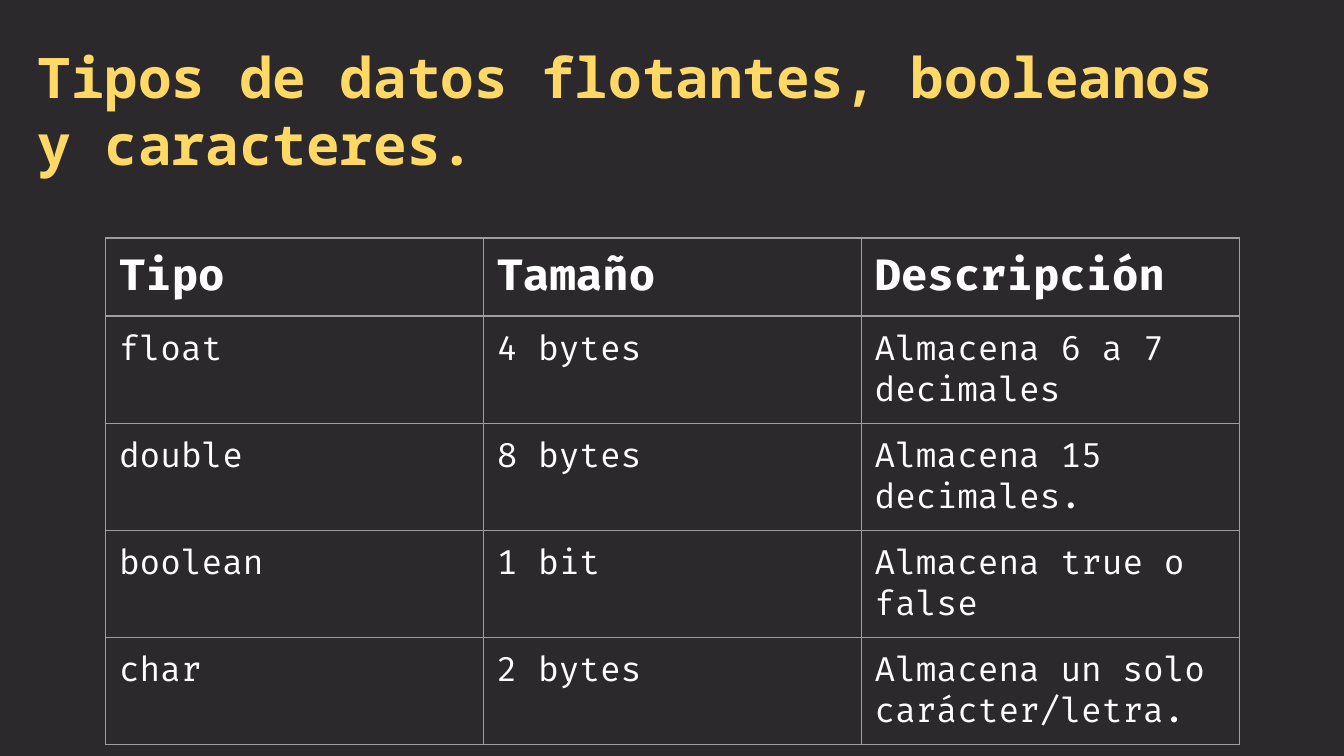
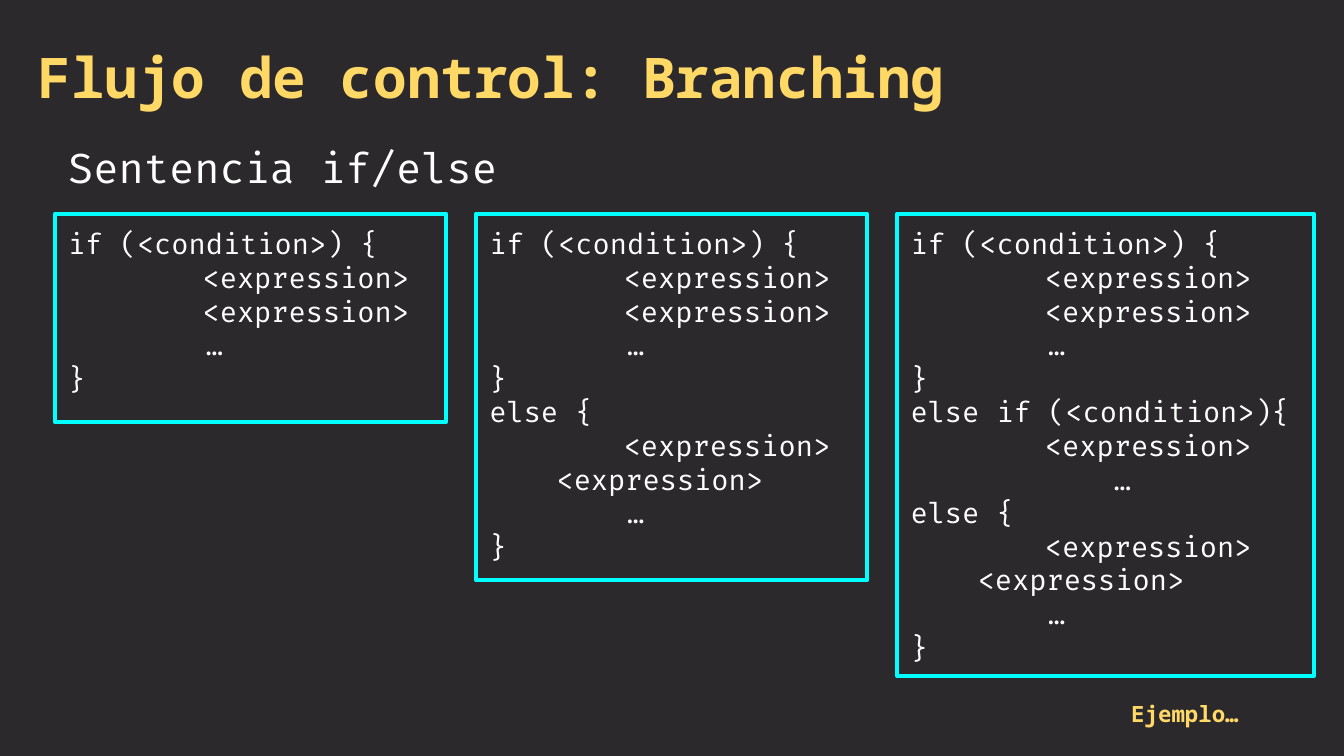
from lxml.etree import SubElement
from pptx import Presentation
from pptx.dml.color import RGBColor
from pptx.enum.shapes import MSO_SHAPE as Shape
from pptx.enum.text import MSO_ANCHOR as Anchor, PP_ALIGN as Align
from pptx.oxml.ns import qn
from pptx.util import Cm, Pt

# Shared style
BACKGROUND, YELLOW, WHITE = "2C292D", "FFD866", "FFFFFF"
CYAN, GREY = "00FFFF", "9E9E9E"
TITLE_FONT, BODY_FONT = "Noto Sans Mono", "Fira Code"
INSET = Cm(0.25)


def color(value):
    return RGBColor.from_string(value)


class SlideBuilder:
    """Holds the deck, its style and the slide being built."""

    def __init__(self):
        self.deck = Presentation()
        self.deck.slide_width, self.deck.slide_height = Cm(25.4), Cm(14.29)
        self.page = None

    def new_page(self, title):
        self.page = self.deck.slides.add_slide(self.deck.slide_layouts[6])
        fill = self.page.background.fill
        fill.solid()
        fill.fore_color.rgb = color(BACKGROUND)
        self.heading(title, 0.46, 0.56, 22.96, 1.85, 30)

    def style(self, para, size, font=BODY_FONT, ink=WHITE, bold=False):
        para.alignment = Align.LEFT
        para.font.name = font
        para.font.size = Pt(size)
        para.font.bold = bold
        para.font.color.rgb = color(ink)

    def frame(self, shape):
        frame = shape.text_frame
        frame.word_wrap = True
        frame.vertical_anchor = Anchor.TOP
        frame.margin_left = frame.margin_right = INSET
        frame.margin_top = frame.margin_bottom = INSET
        return frame

    def text(self, words, left, top, width, height, size, **look):
        box = self.page.shapes.add_textbox(Cm(left), Cm(top), Cm(width), Cm(height))
        para = self.frame(box).paragraphs[0]
        para.add_run().text = words
        self.style(para, size, **look)

    def heading(self, words, left, top, width, height, size):
        self.text(words, left, top, width, height, size,
                  font=TITLE_FONT, ink=YELLOW, bold=True)

    def code_box(self, lines, left, top, width, height):
        box = self.page.shapes.add_shape(
            Shape.RECTANGLE, Cm(left), Cm(top), Cm(width), Cm(height))
        box.shadow.inherit = False
        box.fill.background()
        box.line.color.rgb = color(CYAN)
        box.line.width = Pt(2.25)
        SubElement(box.line._get_or_add_ln(), qn("a:round"))
        frame = self.frame(box)
        for number, line in enumerate(lines):
            para = frame.add_paragraph() if number else frame.paragraphs[0]
            para.add_run().text = line
            properties = para._p.get_or_add_pPr()
            if line.startswith("\t"):
                stops = SubElement(properties, qn("a:tabLst"))
                SubElement(stops, qn("a:tab"), pos=str(Cm(2.54)), algn="l")
            elif line.startswith("<"):
                properties.set("marL", str(Cm(1.27)))
            self.style(para, 15)

    def border(self, cell):
        properties = cell._tc.get_or_add_tcPr()
        for side in ("lnL", "lnR", "lnT", "lnB"):
            line = SubElement(properties, qn(f"a:{side}"), w=str(Pt(0.75)))
            fill = SubElement(line, qn("a:solidFill"))
            SubElement(fill, qn("a:srgbClr"), val=GREY)

    def table(self, rows, left, top, column_width, header_height, row_height):
        count = len(rows[0])
        height = header_height + row_height * (len(rows) - 1)
        table = self.page.shapes.add_table(
            len(rows), count, Cm(left), Cm(top),
            Cm(column_width * count), Cm(height)).table
        table.first_row = table.horz_banding = False
        for column in table.columns:
            column.width = Cm(column_width)
        for i, row in enumerate(rows):
            header = i == 0
            table.rows[i].height = Cm(header_height if header else row_height)
            for j, words in enumerate(row):
                cell = table.cell(i, j)
                cell.margin_left = cell.margin_right = INSET
                cell.margin_top = cell.margin_bottom = INSET
                self.border(cell)
                cell.fill.background()
                para = cell.text_frame.paragraphs[0]
                para.add_run().text = words
                self.style(para, 23 if header else 18, bold=header)


DATA_TYPES = [
    ("Tipo", "Tamaño", "Descripción"),
    ("float", "4 bytes", "Almacena 6 a 7 decimales"),
    ("double", "8 bytes", "Almacena 15 decimales."),
    ("boolean", "1 bit", "Almacena true o false"),
    ("char", "2 bytes", "Almacena un solo carácter/letra."),
]

# Code fragments shared by the three branching forms
STEP, DOTS = "\t<expression>", "        …"
IF_BLOCK = ["if (<condition>) {", STEP, STEP, DOTS, "}"]
ELSE_IF_BLOCK = ["else if (<condition>){", STEP, "\t    …"]
ELSE_BLOCK = ["else {", STEP, "<expression>", DOTS, "}"]
BRANCHES = [  # lines, width, height
    (IF_BLOCK, 7.39, 3.94),
    (IF_BLOCK + ELSE_BLOCK, 7.39, 6.93),
    (IF_BLOCK + ELSE_IF_BLOCK + ELSE_BLOCK, 7.87, 8.74),
]


def main():
    builder = SlideBuilder()

    # Data types
    builder.new_page("Tipos de datos flotantes, booleanos y caracteres.")
    builder.table(DATA_TYPES, 2, 4.5, 7.14, 1.37, 1.88)

    # Branching
    builder.new_page("Flujo de control: Branching")
    builder.heading("Ejemplo…", 21.13, 12.98, 3.12, 1.12, 12)
    builder.text("Sentencia if/else", 1.04, 2.44, 10.46, 1.63, 22)
    left, gap = 1.04, 0.57
    for lines, width, height in BRANCHES:
        builder.code_box(lines, left, 4.04, width, height)
        left += width + gap

    builder.deck.save("out.pptx")


if __name__ == "__main__":
    main()
